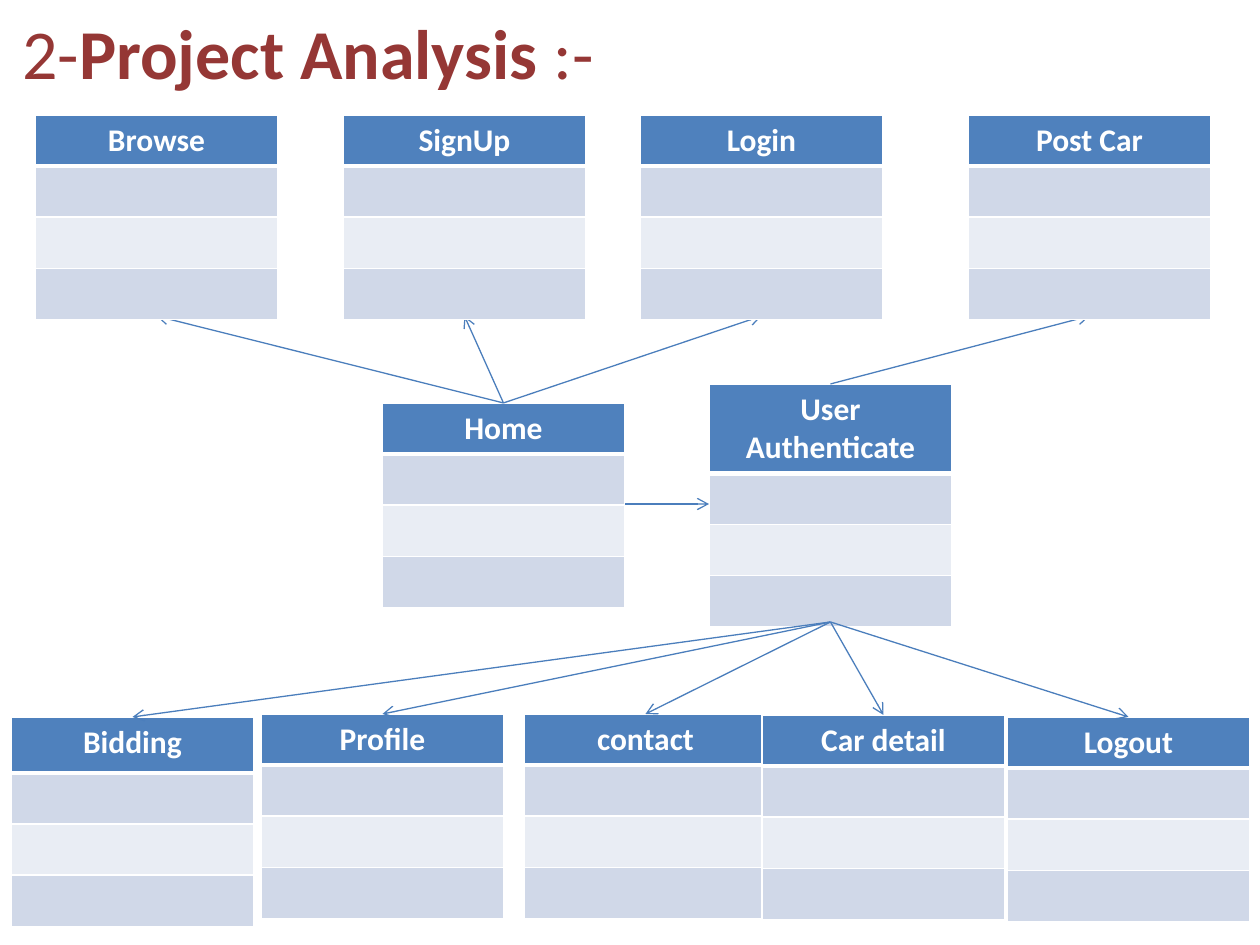
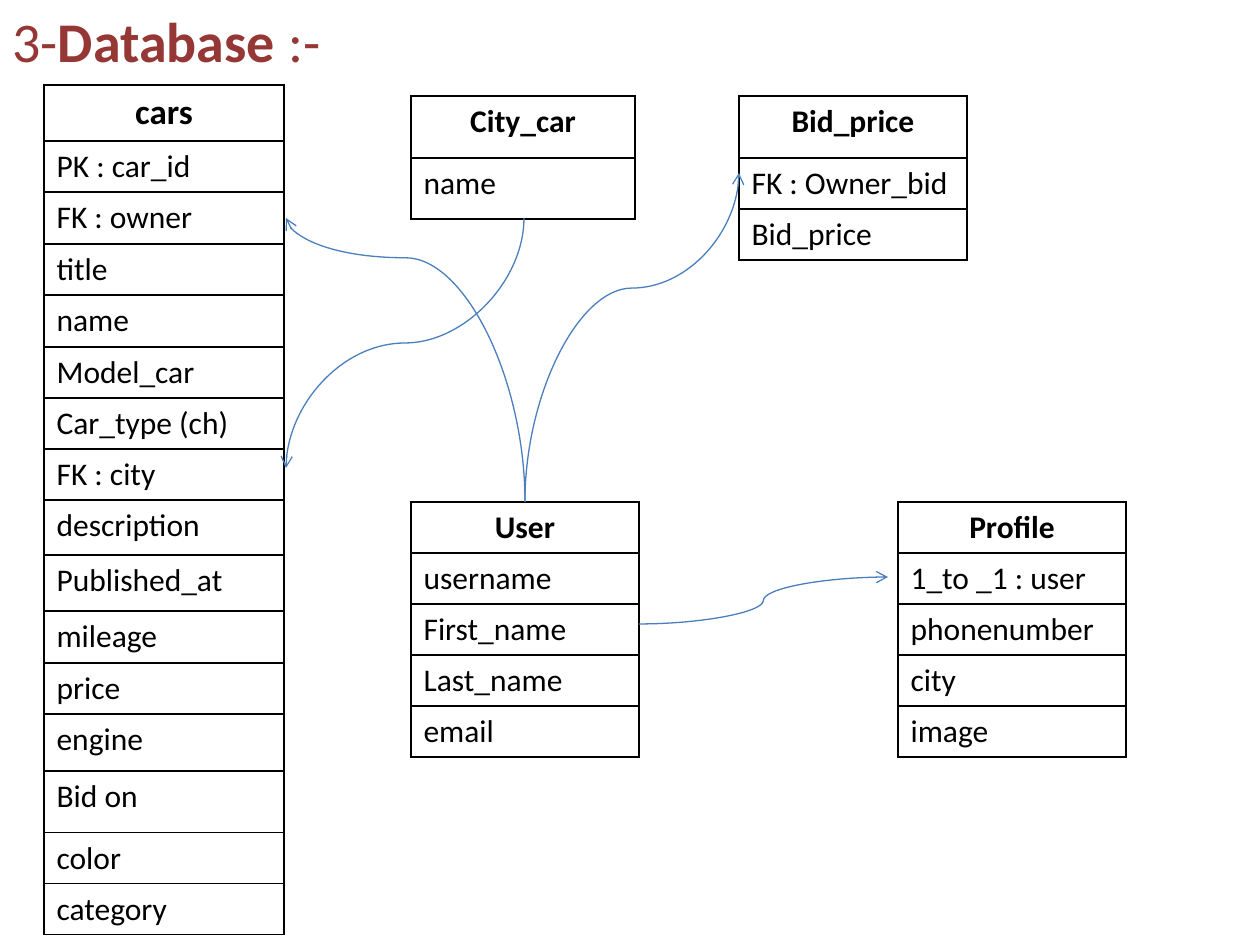
import pptx
import pptx.util
import pptx.dml.color
import pptx.enum.shapes
import pptx.enum.text
import pptx.oxml.ns
import lxml.etree

PX = 914400 / 126  # one pixel in EMU


class Theme:
    font = "Calibri"
    title = "953735"
    head = "4F81BD"
    bands = ("D0D8E8", "E9EDF4")
    white = "FFFFFF"
    black = "000000"
    line = "4B7EBC"
    big, mid, sub, body = 40, 32, 20, 18
    thin, thick, wire = 1, 3, 0.75


ROW = 51      # natural height of a text row
CARD = 243    # width of a page card
INSET = 3     # arrows end just inside the foot of a card


def px(n):
    return pptx.util.Emu(round(n * PX))


def rgb(code):
    return pptx.dml.color.RGBColor.from_string(code)


def tag(parent, label, **attrs):
    node = lxml.etree.SubElement(parent, pptx.oxml.ns.qn(label))
    for key, val in attrs.items():
        node.set(key, str(val))
    return node


def write(para, text, size=Theme.body, color=Theme.black, bold=False, center=False):
    """Add one formatted run to a paragraph."""
    run = para.add_run()
    run.text = text
    run.font.name = Theme.font
    run.font.size = pptx.util.Pt(size)
    run.font.bold = bold
    run.font.color.rgb = rgb(color)
    if center:
        para.alignment = pptx.enum.text.PP_ALIGN.CENTER


def title(slide, box, number, name, size, wrap):
    frame = slide.shapes.add_textbox(*map(px, box)).text_frame
    frame.word_wrap = wrap
    para = frame.paragraphs[0]
    for text, bold in ((number, False), (name, True), (":-", False)):
        write(para, text, size=size, color=Theme.title, bold=bold)


def edge(cell, color, top, foot):
    """Draw the four borders of a cell, ahead of its fill."""
    props = cell._tc.get_or_add_tcPr()
    widths = {"L": Theme.thin, "R": Theme.thin, "T": top, "B": foot}
    for i, (side, width) in enumerate(widths.items()):
        line = tag(props, "a:ln" + side, w=int(pptx.util.Pt(width)))
        tag(tag(line, "a:solidFill"), "a:srgbClr", val=color)
        props.insert(i, line)


def grid(slide, x, y, width, rows):
    """Add a one-column table with the given row heights."""
    shape = slide.shapes.add_table(len(rows), 1, px(x), px(y), px(width), px(sum(rows)))
    table = shape.table
    table.first_row = table.horz_banding = False
    for row, high in zip(table.rows, rows):
        row.height = px(high)
    return [row.cells[0] for row in table.rows]


def card(slide, x, y, name, head=ROW):
    """A page card: header and three bands. Returns its box."""
    rows = [head] + [ROW] * 3
    for i, cell in enumerate(grid(slide, x, y, CARD, rows)):
        cell.fill.solid()
        cell.fill.fore_color.rgb = rgb(Theme.bands[(i - 1) % 2] if i else Theme.head)
        edge(cell, Theme.white,
             top=Theme.thick if i == 1 else Theme.thin,
             foot=Theme.thin if i else Theme.thick)
        if i == 0:
            write(cell.text_frame.paragraphs[0], name,
                  color=Theme.white, bold=True, center=True)
    return x, y, CARD, sum(rows)


def model(slide, x, y, width, names, rows=None, size=Theme.body):
    """A database table: bold header over its fields."""
    rows = rows or [ROW] * len(names)
    for i, (cell, name) in enumerate(zip(grid(slide, x, y, width, rows), names)):
        cell.fill.background()
        edge(cell, Theme.black, Theme.thin, Theme.thin)
        write(cell.text_frame.paragraphs[0], name, size=Theme.body if i else size,
              bold=i == 0, center=i == 0)


def arrow(slide, start, end, curved=False):
    kinds = pptx.enum.shapes.MSO_CONNECTOR
    wire = slide.shapes.add_connector(kinds.CURVE if curved else kinds.STRAIGHT,
                                      *map(px, (*start, *end)))
    wire.line.color.rgb = rgb(Theme.line)
    wire.line.width = pptx.util.Pt(Theme.wire)
    props = wire._element.spPr
    tag(props.find(pptx.oxml.ns.qn("a:ln")), "a:tailEnd", type="arrow")
    tag(props, "a:effectLst")
    return props


def curve(slide, start, end, turn, flips="", bend=0.5):
    """A curved arrow that leaves upright: a turned box around the same centre."""
    (ax, ay), (bx, by) = start, end
    cx, cy = (ax + bx) / 2, (ay + by) / 2
    dx, dy = abs(by - ay) / 2, abs(bx - ax) / 2
    props = arrow(slide, (cx - dx, cy - dy), (cx + dx, cy + dy), curved=True)
    frame = props.find(pptx.oxml.ns.qn("a:xfrm"))
    frame.set("rot", str(turn * 60000))
    for flip in flips:
        frame.set("flip" + flip, "1")
    shape = props.find(pptx.oxml.ns.qn("a:prstGeom"))
    guide = shape.find(pptx.oxml.ns.qn("a:avLst"))
    if guide is None:
        guide = tag(shape, "a:avLst")
    tag(guide, "a:gd", name="adj1", fmla=f"val {round(bend * 100000)}")


def top(box):
    x, y, width, high = box
    return x + width / 2, y


def foot(box):
    x, y, width, high = box
    return x + width / 2, y + high - INSET


def pages(slide):
    """Site map: top pages, home and login check, member pages."""
    home = card(slide, 382, 403, "Home")
    user = card(slide, 709, 384, "User Authenticate", head=88)
    lower = [card(slide, *spec) for spec in (
        (11, 717, "Bidding", 56), (261, 714, "Profile"), (524, 714, "contact"),
        (762, 715, "Car detail"), (1007, 717, "Logout"))]

    # Arrows go under the top row, which hides part of their heads
    arrow(slide, (625, 504), (709, 504))
    for x in (35, 343, 640):
        arrow(slide, top(home), (x + CARD / 2, 316))
    arrow(slide, top(user), (968 + CARD / 2, 316))
    for box in lower:
        arrow(slide, foot(user), top(box))

    for x, name in ((35, "Browse"), (343, "SignUp"), (640, "Login"), (968, "Post Car")):
        card(slide, x, 115, name)
    title(slide, (10, 3, 604, 97), "2-", "Project Analysis ", Theme.big, wrap=False)


def data(slide):
    """Database tables and the links between them."""
    title(slide, (0, 0, 1260, 945), "3-", "Database ", Theme.mid, wrap=True)
    model(slide, 44, 85, 240,
          ["cars", "PK : car_id", "FK : owner", "title", "name", "Model_car",
           "Car_type (ch)", "FK : city", "description", "Published_at", "mileage",
           "price", "engine", "Bid on", "color", "category"],
          rows=[56, 51, 52, 51, 52, 51, 51, 51, 55, 56, 52, 51, 57, 62, 51, 51],
          size=Theme.sub)
    model(slide, 411, 96, 224, ["City_car", "name"], rows=[62, 61])
    model(slide, 739, 96, 228, ["Bid_price", "FK : Owner_bid", "Bid_price"],
          rows=[62, ROW, ROW])
    model(slide, 411, 502, 228,
          ["User", "username", "First_name", "Last_name", "email"])
    model(slide, 898, 502, 228,
          ["Profile", "1_to _1 : user", "phonenumber", "city", "image"])

    # Links
    owner = (525, 502)
    curve(slide, (524, 218), (286, 468), turn=90)
    curve(slide, owner, (286, 218), turn=270, flips="V", bend=0.86)
    curve(slide, owner, (739, 173), turn=90, flips="HV", bend=0.65)
    arrow(slide, (639, 624), (888, 577), curved=True)


deck = pptx.Presentation()
deck.slide_width, deck.slide_height = px(1260), px(945)
for draw in (pages, data):
    draw(deck.slides.add_slide(deck.slide_layouts[6]))
deck.save("out.pptx")
